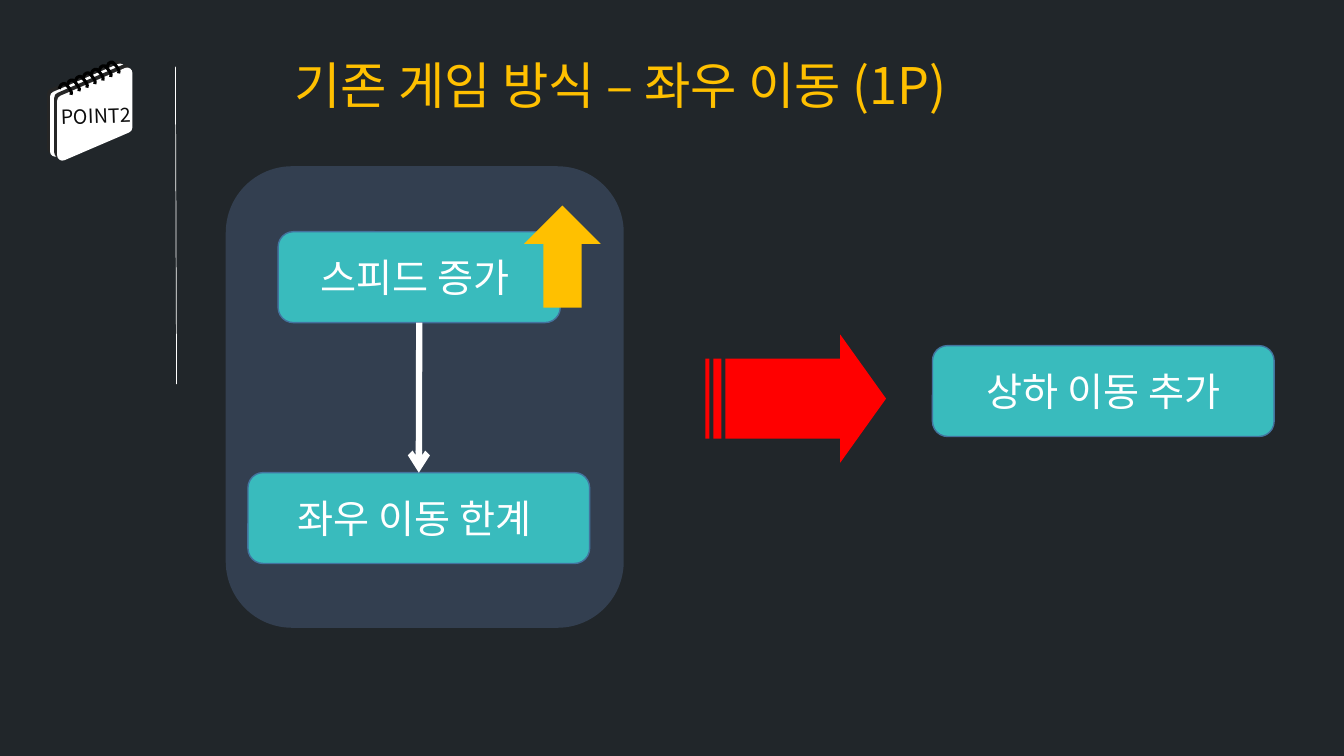
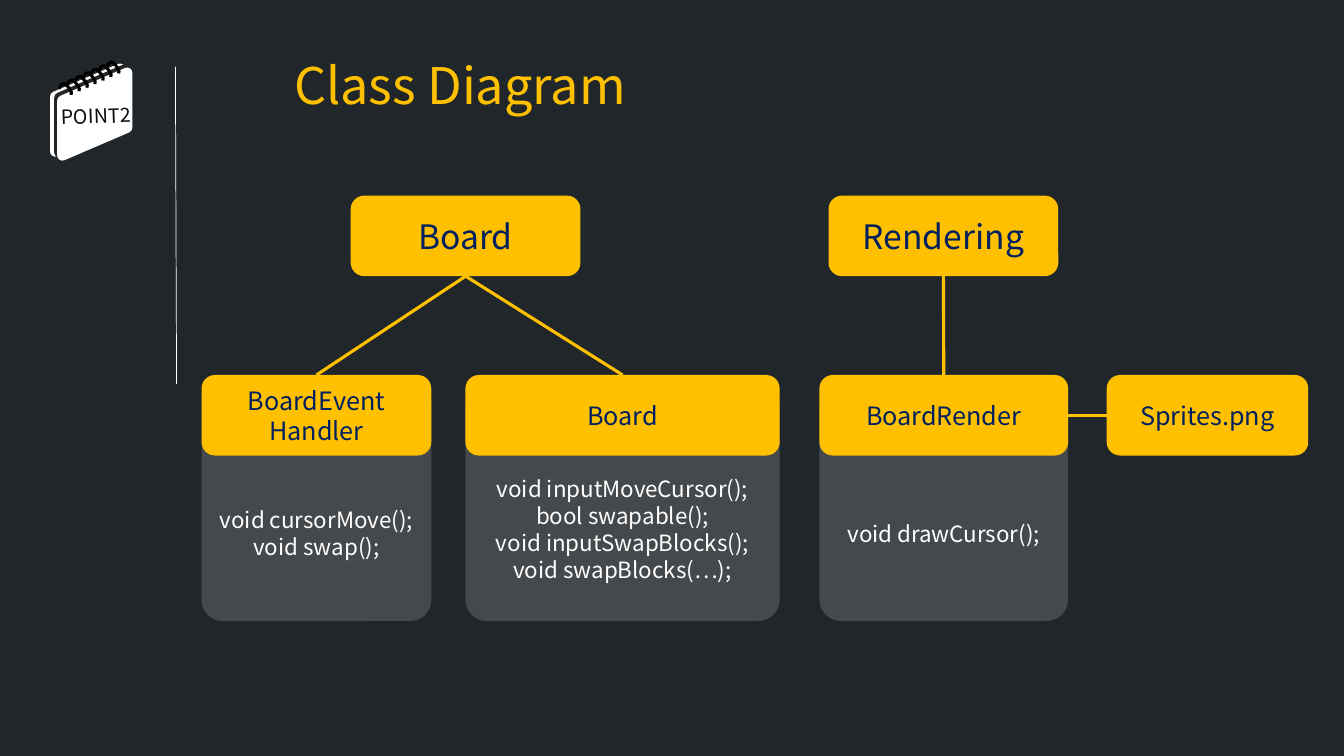
from lxml import etree
from pptx import Presentation
from pptx import util as u
from pptx.dml.color import RGBColor
from pptx.enum import shapes, text
from pptx.oxml import ns

Cm, Pt = u.Cm, u.Pt
KIND = shapes.MSO_SHAPE
INK = {
    "back": "21262A", "white": "FFFFFF", "black": "000000", "note": "0D0D0D",
    "gold": "FFC000", "navy": "002060", "teal": "39BBBD", "edge": "43739E",
    "panel": "333F50", "red": "FF0000", "card": "45494C", "shade": "262626",
}
KR, SC = "Noto Sans CJK KR", "Noto Sans CJK SC"
RING = [(0, 0.15), (0.05, 0.05), (0.1, 0.02), (0.15, 0.02),
        (0.22, 0.09), (0.28, 0.17), (0.31, 0.24), (0.3, 0.3)]


def rgb(name):
    """Return the named colour."""
    return RGBColor.from_string(INK[name])


def sub(node, tag, **atts):
    """Append a drawing element with attributes."""
    return etree.SubElement(node, ns.qn("a:" + tag), **atts)


class Deck:
    """Hold the style and the current slide."""

    def __init__(self):
        """Open a wide, empty deck."""
        self.prs = Presentation()
        self.prs.slide_width, self.prs.slide_height = Cm(33.87), Cm(19.05)

    def page(self, title):
        """Start a slide with background, badge and title."""
        self.slide = self.prs.slides.add_slide(self.prs.slide_layouts[5])
        self.items = self.slide.shapes
        fill = self.slide.background.fill
        fill.solid()
        fill.fore_color.rgb = rgb("back")
        head = self.items.title
        head.left, head.top, head.width, head.height = map(Cm, (7.16, 1.24, 23.2, 1.8))
        head.text_frame.auto_size = text.MSO_AUTO_SIZE.NONE
        self.label(head, title, 36, "gold", align="LEFT", anchor="TOP")
        self.line((4.42, 1.68), (4.45, 9.68), "white", 0.5)
        self.badge()

    def label(self, shape, words, size, ink, font=KR, align="CENTER", anchor="MIDDLE"):
        """Set and format the text of a shape."""
        frame = shape.text_frame
        frame.text = words
        frame.word_wrap = True
        frame.vertical_anchor = text.MSO_ANCHOR[anchor]
        for para in frame.paragraphs:
            para.alignment = text.PP_ALIGN[align]
            para.font.size, para.font.name = Pt(size), font
            para.font.color.rgb = rgb(ink)
            sub(para._p.pPr.defRPr, "ea", typeface=font)

    def shape(self, kind, box, fill, edge=None, width=1, adj=()):
        """Add a filled preset shape."""
        item = self.items.add_shape(kind, *map(Cm, box))
        item.shadow.inherit = False
        item.fill.solid()
        item.fill.fore_color.rgb = rgb(fill)
        if edge:
            item.line.color.rgb = rgb(edge)
            item.line.width = Pt(width)
        else:
            item.line.fill.background()
        for i, value in enumerate(adj):
            item.adjustments[i] = value
        return item

    def step(self, words, box):
        """Add a teal box of the flow."""
        item = self.shape(KIND.ROUNDED_RECTANGLE, box, "teal", "edge")
        self.label(item, words, 28, "white")
        return item

    def node(self, words, left, top, width, size=18):
        """Add a gold box of the class tree."""
        item = self.shape(KIND.ROUNDED_RECTANGLE, (left, top, width, 2.03), "gold")
        self.label(item, words, size, "navy")
        return item

    def card(self, name, calls, left, width, pad=1.7):
        """Add a class: a grey body under a gold head."""
        body = self.shape(KIND.ROUNDED_RECTANGLE, (left, 9.65, width, 6), "card", adj=[0.09])
        self.label(body, calls, 16, "white")
        body.text_frame.margin_top = Cm(pad)
        return self.node(name, left, 9.45, width)

    def line(self, start, end, ink, width):
        """Add a straight line."""
        item = self.items.add_connector(
            shapes.MSO_CONNECTOR.STRAIGHT, *map(Cm, start + end))
        item.line.color.rgb = rgb(ink)
        item.line.width = Pt(width)
        sub(item._element.spPr, "effectLst")
        return item

    def link(self, one, two, sites=(2, 0), ink="gold", width=2.25):
        """Join two boxes at their connection sites."""
        item = self.line((0, 0), (1, 1), ink, width)
        item.begin_connect(one, sites[0])
        item.end_connect(two, sites[1])
        return item

    def badge(self):
        """Draw the spiral notepad with its label."""
        for left, top in ((1.17, 1.96), (1.35, 2.06)):
            leaf = self.shape(KIND.PARALLELOGRAM, (left, top, 2.08, 1.63),
                              "white", "white", 7.5, [0.43])
            leaf.rotation = 90
            props = leaf._element.spPr
            props.xfrm.set("flipH", "1")
            cast = sub(props.find(ns.qn("a:effectLst")), "outerShdw",
                       dist="38100", dir="13500000", algn="br", rotWithShape="0")
            sub(cast, "srgbClr", val=INK["shade"])
        for i in range(7):
            dots = [(Cm(2.69 - 0.2 * i + x), Cm(1.55 + 0.09 * i + y)) for x, y in RING]
            pen = self.items.build_freeform(*dots[0])
            pen.add_line_segments(dots[1:], close=False)
            ring = pen.convert_to_shape()
            ring.shadow.inherit = False
            ring.fill.background()
            ring.line.color.rgb = rgb("black")
            ring.line.width = Pt(2.25)
        tag = self.items.add_textbox(*map(Cm, (1.24, 2.49, 2.36, 0.86)))
        tag.rotation = -2
        self.label(tag, "POINT2", 14, "note", SC, anchor="TOP")
        tag.text_frame.word_wrap = False


def flow(deck):
    """Build the slide on the present way of play."""
    deck.page("기존 게임 방식 – 좌우 이동 (1P)")
    deck.step("상하 이동 추가", (23.5, 8.71, 8.61, 2.29))
    deck.shape(KIND.STRIPED_RIGHT_ARROW, (17.78, 8.43, 4.55, 3.23), "red", adj=[0.625, 0.357])
    deck.shape(KIND.ROUNDED_RECTANGLE, (5.69, 4.19, 10.03, 11.63), "panel")
    speed = deck.step("스피드 증가 ", (7.01, 5.84, 7.11, 2.29))
    limit = deck.step("좌우 이동 한계 ", (6.25, 11.91, 8.61, 2.29))
    down = deck.link(speed, limit, ink="white", width=4.5)
    sub(down._element.spPr.find(ns.qn("a:ln")), "tailEnd", type="arrow")
    deck.shape(KIND.UP_ARROW, (13.21, 5.18, 1.93, 2.57), "gold")


def tree(deck):
    """Build the slide with the class diagram."""
    deck.page("Class Diagram")
    event = deck.card("BoardEvent\nHandler", "void cursorMove();\nvoid swap();", 5.08, 5.79)
    board = deck.card(
        "Board",
        "void inputMoveCursor();\nbool swapable();\n"
        "void inputSwapBlocks();\nvoid swapBlocks(…);", 11.73, 7.92, 1.5)
    render = deck.card("BoardRender", "void drawCursor();", 20.65, 6.27)
    sprite = deck.node("Sprites.png", 27.89, 9.45, 5.08)
    base = deck.node("Board", 8.84, 4.93, 5.79, 24)
    view = deck.node("Rendering", 20.88, 4.93, 5.79, 24)
    for one, two in ((base, event), (base, board), (view, render)):
        deck.link(one, two)
    deck.link(render, sprite, (3, 1))


def main():
    """Build and save the deck."""
    deck = Deck()
    flow(deck)
    tree(deck)
    deck.prs.save("out.pptx")


if __name__ == "__main__":
    main()
